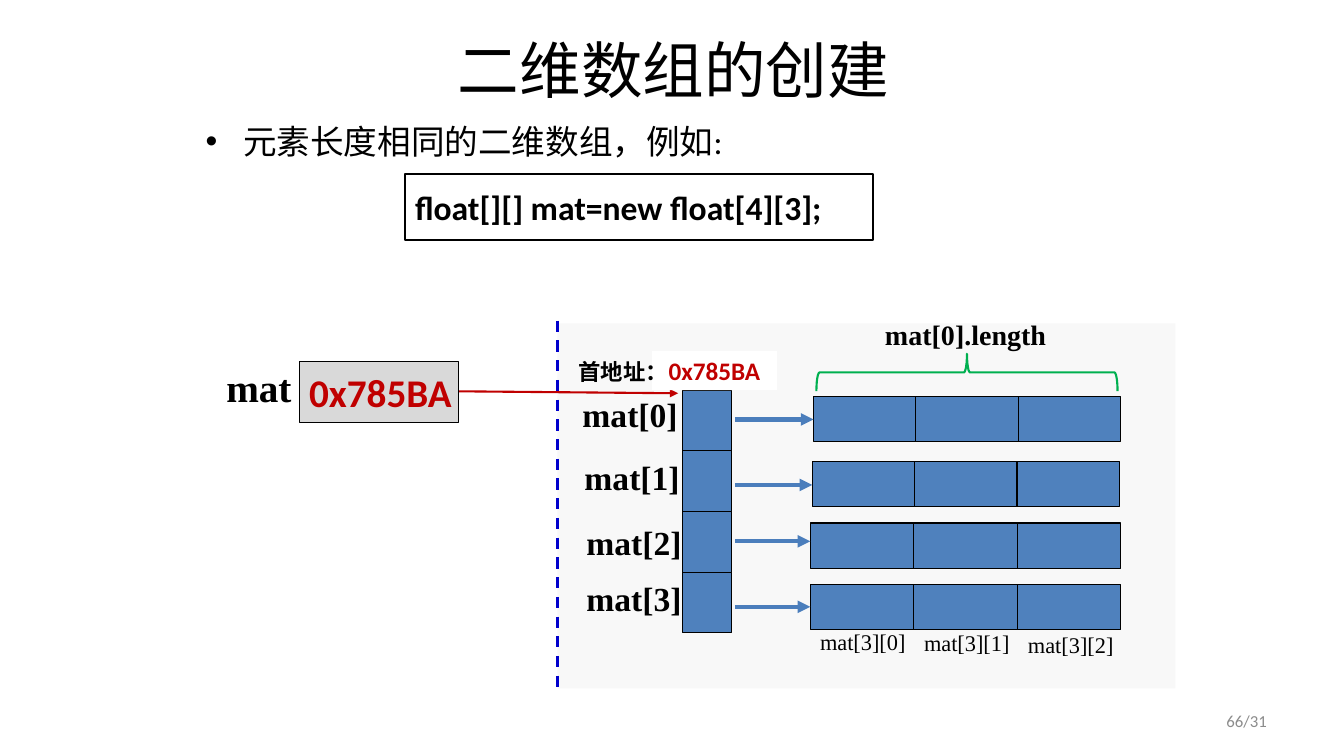
"""Build a slide showing how a two-dimensional array is laid out in memory."""
from lxml import etree
from pptx import Presentation
from pptx.dml.color import RGBColor
from pptx.enum.dml import MSO_LINE
from pptx.enum.shapes import MSO_CONNECTOR, MSO_SHAPE
from pptx.enum.text import MSO_ANCHOR, PP_ALIGN
from pptx.oxml.ns import qn
from pptx.util import Cm, Pt

BLACK = RGBColor(0x00, 0x00, 0x00)
WHITE = RGBColor(0xFF, 0xFF, 0xFF)
GRAY = RGBColor(0x8C, 0x8C, 0x8C)
LIGHT_GRAY = RGBColor(0xD9, 0xD9, 0xD9)
PANEL_GRAY = RGBColor(0xF8, 0xF8, 0xF8)
CELL_BLUE = RGBColor(0x4F, 0x81, 0xBD)
ARROW_BLUE = RGBColor(0x4B, 0x7E, 0xBC)
DASH_BLUE = RGBColor(0x00, 0x00, 0xCC)
RED = RGBColor(0xC0, 0x00, 0x00)
GREEN = RGBColor(0x00, 0xB0, 0x50)
LEFT, CENTER, RIGHT = PP_ALIGN.LEFT, PP_ALIGN.CENTER, PP_ALIGN.RIGHT
TOP, MIDDLE = MSO_ANCHOR.TOP, MSO_ANCHOR.MIDDLE
RECTANGLE, BRACE = MSO_SHAPE.RECTANGLE, MSO_SHAPE.RIGHT_BRACE
STRAIGHT, DASH = MSO_CONNECTOR.STRAIGHT, MSO_LINE.DASH
SANS, SERIF = "Calibri", "Times New Roman"

prs = Presentation()
prs.slide_width, prs.slide_height = Cm(33.87), Cm(19.05)
slide = prs.slides.add_slide(prs.slide_layouts[6])
shapes = slide.shapes


def add_box(place, fill=None, line=None, weight=0.75, kind=RECTANGLE):
    box = shapes.add_shape(kind, *map(Cm, place))
    box.shadow.inherit = False
    if fill is None:
        box.fill.background()
    else:
        box.fill.solid()
        box.fill.fore_color.rgb = fill
    if line is None:
        box.line.fill.background()
    else:
        box.line.color.rgb = line
        box.line.width = Pt(weight)
    return box


def add_text(text, place=None, holder=None, size=24, font=SANS, color=BLACK, bold=False,
             align=LEFT, anchor=TOP, wrap=True, margin=None, bullet=None):
    holder = holder or shapes.add_textbox(*map(Cm, place))
    frame = holder.text_frame
    frame.word_wrap = wrap
    frame.vertical_anchor = anchor
    if margin is not None:
        frame.margin_left = frame.margin_right = Cm(margin)
        frame.margin_top = frame.margin_bottom = Cm(margin)
    paragraph = frame.paragraphs[0]
    paragraph.alignment = align
    if bullet:
        properties = paragraph._p.get_or_add_pPr()
        properties.set("marL", str(Cm(0.95)))
        properties.set("indent", str(-Cm(0.95)))
        etree.SubElement(properties, qn("a:buFont")).set("typeface", "Arial")
        etree.SubElement(properties, qn("a:buChar")).set("char", bullet)
    run = paragraph.add_run()
    run.text = text
    run.font.size = Pt(size)
    run.font.name = font
    run.font.bold = bold
    run.font.color.rgb = color


add_text("二维数组的创建", (6.5, 0.25, 20.96, 2.95), size=44, align=CENTER, anchor=MIDDLE)
add_text("元素长度相同的二维数组，例如:", (4.93, 2.92, 22.86, 14.12), bullet="•")
add_text("66/31", (24.28, 17.65, 7.9, 1.02), size=12, color=GRAY, align=RIGHT, anchor=MIDDLE)

add_box((14.05, 8.15, 15.57, 9.2), fill=PANEL_GRAY)
add_text("mat", (5.23, 9.02, 2.59, 1.45), size=28, font=SERIF, bold=True, align=CENTER)
add_text("mat[0].length", (22, 7.87, 4.67, 1.12), size=20, font=SERIF, bold=True, align=CENTER)

# row left, row top, cell width, label left, label top, arrow height
rows = [
    (20.5, 9.98, 2.58, 14.43, 9.8, 10.57),
    (20.47, 11.63, 2.58, 14.48, 11.38, 12.22),
    (20.42, 13.18, 2.61, 14.53, 13.03, 13.64),
    (20.42, 14.73, 2.61, 14.53, 14.45, 15.29),
]
links = [
    (11.53, 9.86, 17.09, 9.91, RED, 1.5, True),
    (14.05, 8.08, 14.05, 17.42, DASH_BLUE, 2, False),
]
for index, (row_left, row_top, cell_width, label_left, label_top, arrow_y) in enumerate(rows):
    add_box((17.2, 9.83 + 1.53 * index, 1.24, 1.53), fill=CELL_BLUE, line=BLACK)
    for column in range(3):
        add_box((row_left + cell_width * column, row_top, cell_width, 1.14),
                fill=CELL_BLUE, line=BLACK)
    add_text(f"mat[{index}]", (label_left, label_top, 3.23, 1.27), font=SERIF, bold=True)
    links.append((18.52, arrow_y, row_left, arrow_y, ARROW_BLUE, 3, True))

for x1, y1, x2, y2, color, weight, arrow in links:
    link = shapes.add_connector(STRAIGHT, Cm(x1), Cm(y1), Cm(x2), Cm(y2))
    link.line.color.rgb = color
    link.line.width = Pt(weight)
    if arrow:
        etree.SubElement(link.line._get_or_add_ln(), qn("a:tailEnd")).set("type", "triangle")
    else:
        link.line.dash_style = DASH
    etree.SubElement(link._element.spPr, qn("a:effectLst"))

for column in range(3):
    add_text(f"mat[3][{column}]", (20.22 + 2.62 * column, 15.7 + 0.04 * column, 3.05, 0.94),
             size=16, font=SERIF, align=CENTER)

length_brace = add_box((23.9, 5.59, 0.94, 7.59), line=GREEN, weight=1.5, kind=BRACE)
length_brace.rotation = 270

reference = add_box((7.54, 9.12, 4.01, 1.52), fill=LIGHT_GRAY, line=BLACK)
add_text("0x785BA", holder=reference, size=28, color=RED, bold=True, anchor=MIDDLE, wrap=False)
declaration = add_box((10.21, 4.39, 11.79, 1.65), line=BLACK, weight=1.5)
add_text("float[][] mat=new float[4][3];", holder=declaration, bold=True, anchor=MIDDLE, wrap=False)
first_address = add_box((16.43, 8.84, 3.15, 0.99), fill=WHITE)
add_text("0x785BA", holder=first_address, size=18, color=RED, bold=True, align=CENTER,
         anchor=MIDDLE, margin=0)
add_text("首地址：", (14.33, 8.89, 3.53, 0.94), size=16, bold=True)

prs.save("out.pptx")
